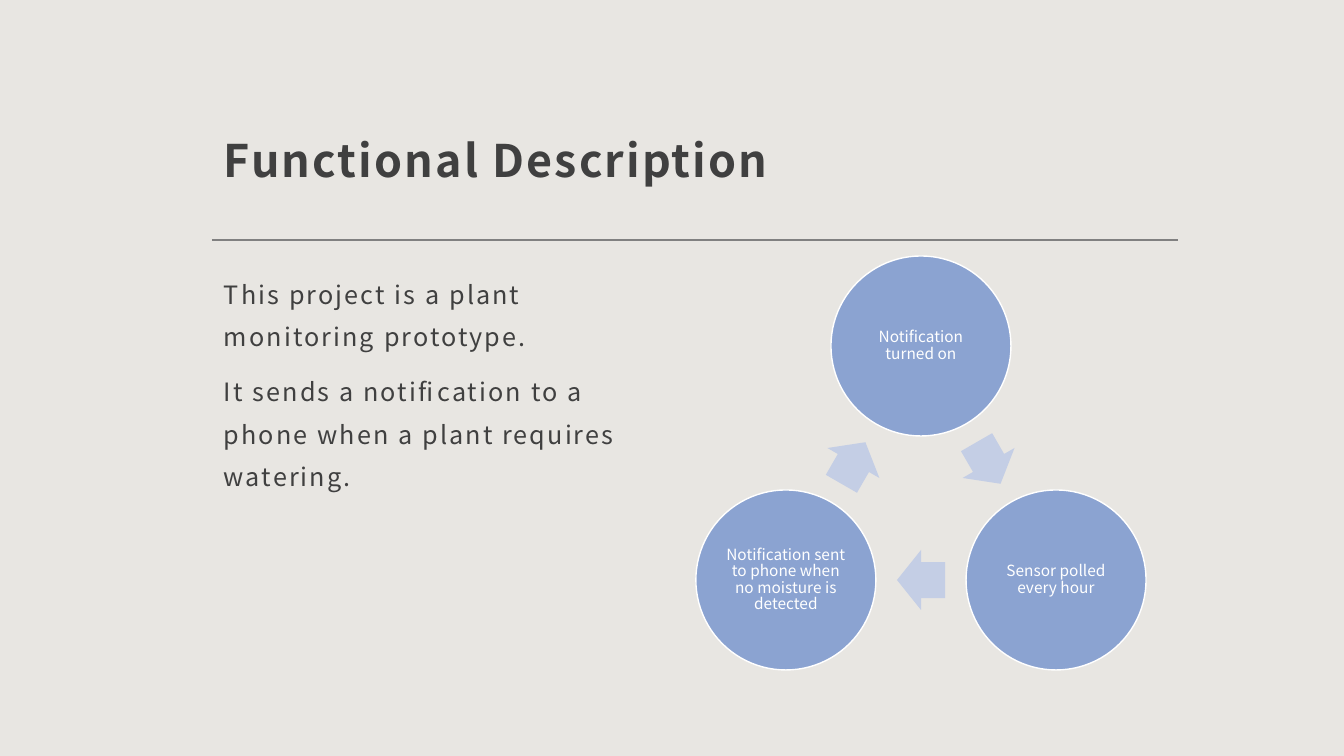
import math
from lxml import etree
from pptx import Presentation, util as u
from pptx.dml.color import RGBColor
from pptx.enum import shapes, text
from pptx.oxml.ns import qn

TITLE = "Functional Description"
BODY = [
    "This project is a plant monitoring prototype.",
    "It sends a notification to a phone when a plant requires watering.",
]
STEPS = [
    "Notification turned on",
    "Sensor polled every hour",
    "Notification sent to phone when no moisture is detected",
]
FONT = "Noto Sans CJK JP"
INK, WHITE, BLUE, PALE = "404040", "FFFFFF", "8BA3D1", "C4CEE5"
HUB_X, HUB_Y, ORBIT = 921, 502, 156
DISC = 180
ARROW_W, ARROW_H = 48, 60


def px(n):
    return round(n * 914400 / 100.8)


def color(code):
    return RGBColor.from_string(code)


def write(shape, lines, size, ink, pads, lead, gap=0, bold=False, track=0,
          align=text.PP_ALIGN.LEFT, anchor=text.MSO_ANCHOR.TOP):
    frame = shape.text_frame
    frame.word_wrap = True
    frame.vertical_anchor = anchor
    (frame.margin_left, frame.margin_top,
     frame.margin_right, frame.margin_bottom) = map(px, pads)
    frame.text = "\n".join(lines)
    for para in frame.paragraphs:
        para.alignment = align
        para.line_spacing = lead
        para.space_before = u.Pt(gap)
        for run in para.runs:
            run.font.name = FONT
            run.font.size = u.Pt(size)
            run.font.bold = bold
            run.font.color.rgb = color(ink)
            if track:
                run._r.get_or_add_rPr().set("spc", str(track))


def draw(slide, kind, x, y, w, h, fill):
    shape = slide.shapes.add_shape(
        kind, px(x - w / 2), px(y - h / 2), px(w), px(h))
    shape.shadow.inherit = False
    shape.fill.solid()
    shape.fill.fore_color.rgb = color(fill)
    return shape


def polar(angle, dist):
    turn = math.radians(angle)
    return HUB_X + dist * math.cos(turn), HUB_Y + dist * math.sin(turn)


def cycle(slide):
    step = 360 / len(STEPS)
    for i, label in enumerate(STEPS):
        angle = step * i - 90
        disc = draw(slide, shapes.MSO_SHAPE.OVAL,
                    *polar(angle, ORBIT), DISC, DISC, BLUE)
        disc.line.color.rgb = color(WHITE)
        disc.line.width = u.Pt(1)
        write(disc, [label], 11, WHITE, (2, 2, 2, 2), 0.9,
              align=text.PP_ALIGN.CENTER, anchor=text.MSO_ANCHOR.MIDDLE)
        mid = ORBIT * math.cos(math.radians(step / 2))
        arrow = draw(slide, shapes.MSO_SHAPE.RIGHT_ARROW,
                     *polar(angle + step / 2, mid), ARROW_W, ARROW_H, PALE)
        arrow.adjustments[0] = 0.6
        arrow.adjustments[1] = 0.5
        arrow.line.fill.background()
        arrow.rotation = angle + step / 2 + 90


def main():
    deck = Presentation()
    deck.slide_width, deck.slide_height = px(1344), px(756)
    slide = deck.slides.add_slide(deck.slide_layouts[6])
    back = slide.background.fill
    back.solid()
    back.fore_color.rgb = color("E8E6E2")

    rule = slide.shapes.add_connector(
        shapes.MSO_CONNECTOR.STRAIGHT, px(212), px(240), px(1178), px(240))
    rule.line.color.rgb = color("808080")
    rule.line.width = u.Pt(2)
    etree.SubElement(rule._element.spPr, qn("a:effectLst"))

    pads = (12, 12, 12, 10)
    title = slide.shapes.add_textbox(px(212), px(48), px(966), px(148))
    write(title, [TITLE], 32, INK, pads, 1.3, bold=True, track=150,
          anchor=text.MSO_ANCHOR.BOTTOM)
    body = slide.shapes.add_textbox(px(212), px(255), px(461), px(402))
    write(body, BODY, 18, INK, pads, 1.4, gap=9.3, track=150)
    cycle(slide)
    deck.save("out.pptx")


if __name__ == "__main__":
    main()
